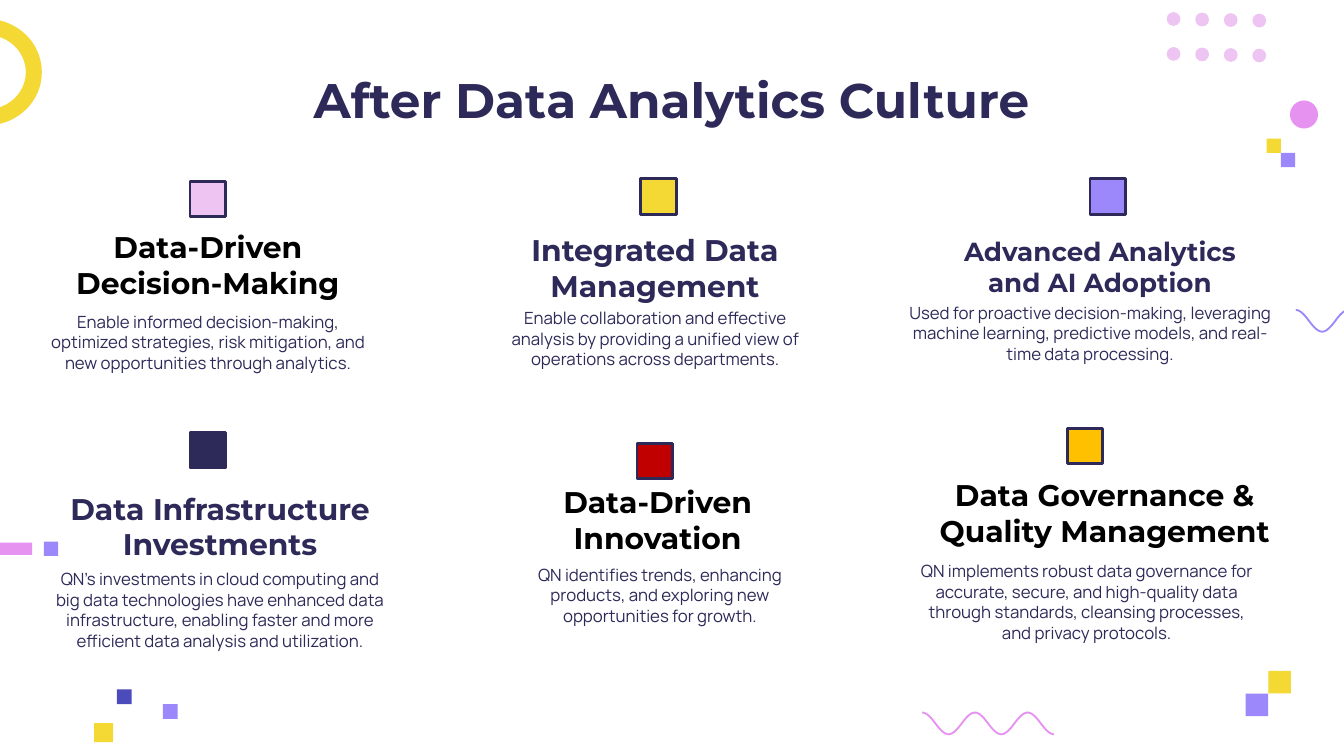
import math
import pptx
import pptx.util
import pptx.dml.color
import pptx.enum.shapes
import pptx.enum.text
from pptx.util import Cm, Pt

NAVY, YELLOW, VIOLET = "2D2958", "F4D834", "9C88FA"
PINK, LILAC, INDIGO = "E592F1", "EDC4F2", "4B4BBB"
SHAPE = pptx.enum.shapes.MSO_SHAPE


def color(value):
    return pptx.dml.color.RGBColor.from_string(value)


def add_figure(slide, kind, left, top, width, height, fill, outline=None):
    figure = slide.shapes.add_shape(kind, Cm(left), Cm(top), Cm(width), Cm(height))
    figure.shadow.inherit = False
    figure.fill.solid()
    figure.fill.fore_color.rgb = color(fill)
    if outline:
        figure.line.color.rgb = color(outline)
        figure.line.width = Pt(1.5)
    else:
        figure.line.fill.background()
    return figure


def add_words(slide, left, top, width, height, words, font, size, ink, bold=False, spacing=None):
    frame = slide.shapes.add_textbox(Cm(left), Cm(top), Cm(width), Cm(height)).text_frame
    frame.word_wrap = True
    frame.vertical_anchor = pptx.enum.text.MSO_ANCHOR.MIDDLE
    frame.margin_left = frame.margin_right = Cm(0.25)
    frame.margin_top = frame.margin_bottom = Cm(0.25)
    paragraph = frame.paragraphs[0]
    paragraph.alignment = pptx.enum.text.PP_ALIGN.CENTER
    if spacing:
        paragraph.line_spacing = Pt(spacing)
    run = paragraph.add_run()
    run.text = words
    run.font.name = font
    run.font.size = Pt(size)
    run.font.bold = bold
    run.font.color.rgb = color(ink)


def add_squares(slide, left, top, squares):
    for x, y, side, fill in squares:
        add_figure(slide, SHAPE.RECTANGLE, left + x, top + y, side, side, fill)


def add_dots(slide, left, top):
    for row in range(2):
        for column in range(4):
            add_figure(slide, SHAPE.OVAL, left + 0.54 * column,
                       top + 0.66 * row + 0.01 * column, 0.26, 0.26, LILAC)


def add_wave(slide, left, top, ink, width=2.49, height=0.41, cycles=2.5, steps=100):
    points = [
        (Cm(left + width * i / steps),
         Cm(top + height / 2 * (1 - math.cos(2 * math.pi * cycles * i / steps))))
        for i in range(steps + 1)
    ]
    builder = slide.shapes.build_freeform(*points[0])
    builder.add_line_segments(points[1:], close=False)
    wave = builder.convert_to_shape()
    wave.shadow.inherit = False
    wave.fill.background()
    wave.line.color.rgb = color(ink)
    wave.line.width = Pt(1)


def add_left_decor(slide, left, top):
    ring = add_figure(slide, SHAPE.DONUT, left - 1.29, top + 0.36, 2.08, 2.01, YELLOW)
    ring.adjustments[0] = 0.15
    add_figure(slide, SHAPE.RECTANGLE, left - 1.6, top + 10.26, 2.21, 0.23, PINK)
    add_squares(slide, left, top, [
        (0.83, 10.24, 0.27, VIOLET),
        (1.78, 13.67, 0.36, YELLOW),
        (3.08, 13.31, 0.28, VIOLET),
        (2.21, 13.03, 0.28, INDIGO),
    ])


def add_right_decor(slide, left, top):
    add_dots(slide, left + 4.65, top + 0.23)
    add_wave(slide, left + 0.03, top + 13.47, PINK)
    add_wave(slide, left + 7.09, top + 5.86, VIOLET)
    add_figure(slide, SHAPE.OVAL, left + 6.98, top + 1.9, 0.53, 0.53, PINK)
    add_squares(slide, left, top, [
        (6.57, 12.68, 0.43, YELLOW),
        (6.14, 13.11, 0.43, VIOLET),
        (6.81, 2.89, 0.27, VIOLET),
        (6.54, 2.62, 0.27, YELLOW),
    ])


def add_title(slide, left, top, width, height):
    add_words(slide, left, top, width, height, "After Data Analytics Culture",
              "Montserrat", 26, NAVY, bold=True)


def add_card(slide, left, top, marker, heading, body):
    marker_x, marker_y, fill = marker
    heading_x, heading_y, heading_width, heading_text, size, ink = heading
    body_x, body_y, body_width, body_text = body
    add_words(slide, left + heading_x, top + heading_y, heading_width, 0.99,
              heading_text, "Montserrat", size, ink, bold=True)
    add_words(slide, left + body_x, top + body_y, body_width, 1.35,
              body_text, "Manrope", 9, NAVY, spacing=10.9)
    add_figure(slide, SHAPE.RECTANGLE, left + marker_x, top + marker_y,
               0.67, 0.67, fill, NAVY)


def add_cards(slide, lefts, tops):
    cards = [
        ((2.9, 0.05, LILAC),
         (0, 1.12, 6.48, "Data-Driven Decision-Making", 16, "000000"),
         (0, 2.41, 6.48, "Enable informed decision-making, optimized strategies, risk "
          "mitigation, and new opportunities through analytics.")),
        ((2.97, 0, YELLOW),
         (0, 1.19, 6.48, "Integrated Data Management", 16, NAVY),
         (0, 2.34, 6.48, "Enable collaboration and effective analysis by providing a "
          "unified view of operations across departments.")),
        ((3.71, 0, VIOLET),
         (0.66, 1.17, 6.48, "Advanced Analytics and AI Adoption", 14, NAVY),
         (0, 2.24, 7.42, "Used for proactive decision-making, leveraging machine "
          "learning, predictive models, and real-time data processing.")),
        ((2.9, 0.05, NAVY),
         (0.23, 1.32, 6.48, "Data Infrastructure Investments", 16, NAVY),
         (0, 2.72, 6.93, "QN's investments in cloud computing and big data technologies "
          "have enhanced data infrastructure, enabling faster and more efficient data "
          "analysis and utilization.")),
        ((2.9, 0.25, "C00000"),
         (0.05, 1.19, 6.48, "Data-Driven Innovation", 16, "000000"),
         (0.13, 2.44, 6.4, "QN identifies trends, enhancing products, and exploring new "
          "opportunities for growth.")),
        ((3.28, -0.03, "FFC000"),
         (0.56, 1.07, 6.86, "Data Governance & Quality Management", 16, "000000"),
         (0.18, 2.57, 6.93, "QN implements robust data governance for accurate, secure, "
          "and high-quality data through standards, cleansing processes, and privacy "
          "protocols.")),
    ]
    for index, card in enumerate(cards):
        row, column = divmod(index, len(lefts))
        add_card(slide, lefts[column], tops[row], *card)


def main():
    deck = pptx.Presentation()
    deck.slide_width, deck.slide_height = Cm(25.4), Cm(14.29)
    slide = deck.slides.add_slide(deck.slide_layouts[6])
    add_left_decor(slide, 0, 0)
    add_right_decor(slide, 17.4, 0)
    add_title(slide, 2.11, 1.07, 21.18, 1.6)
    add_cards(slide, lefts=(0.69, 9.14, 16.89), tops=(3.38, 8.13))
    deck.save("out.pptx")


if __name__ == "__main__":
    main()
